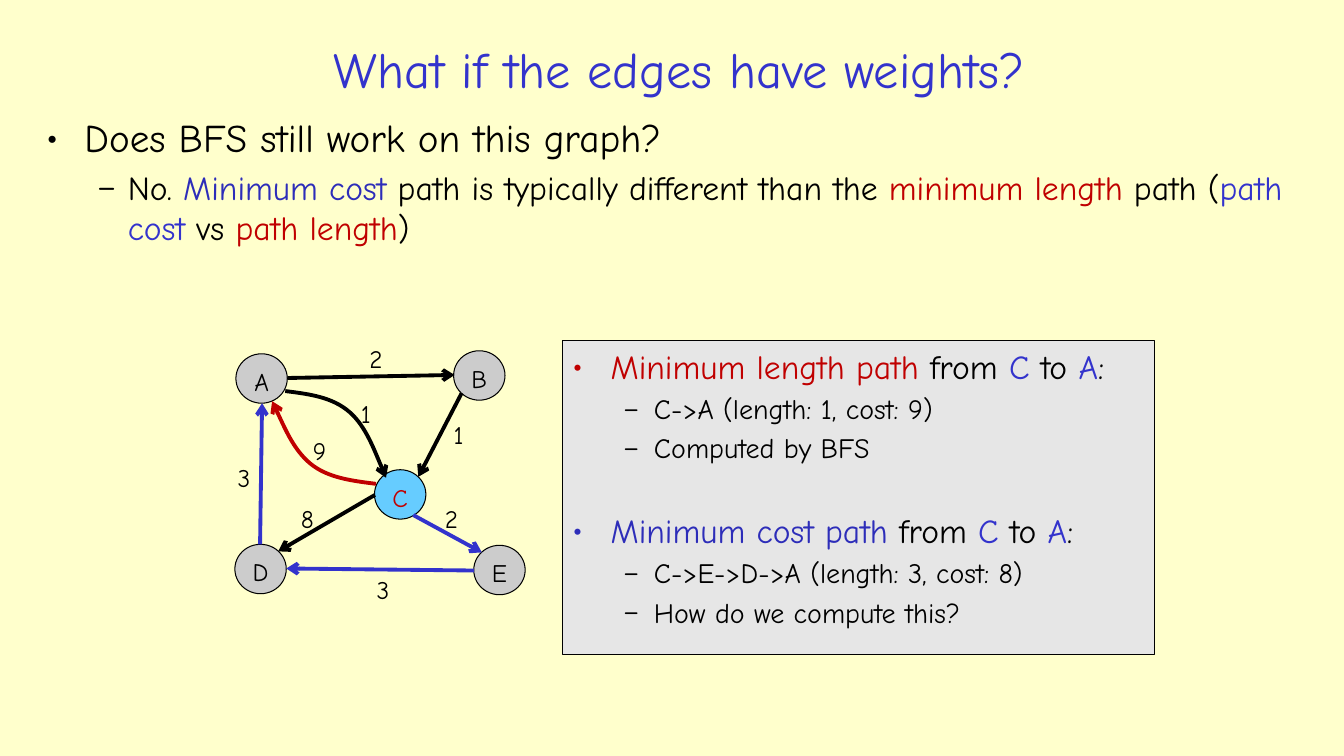
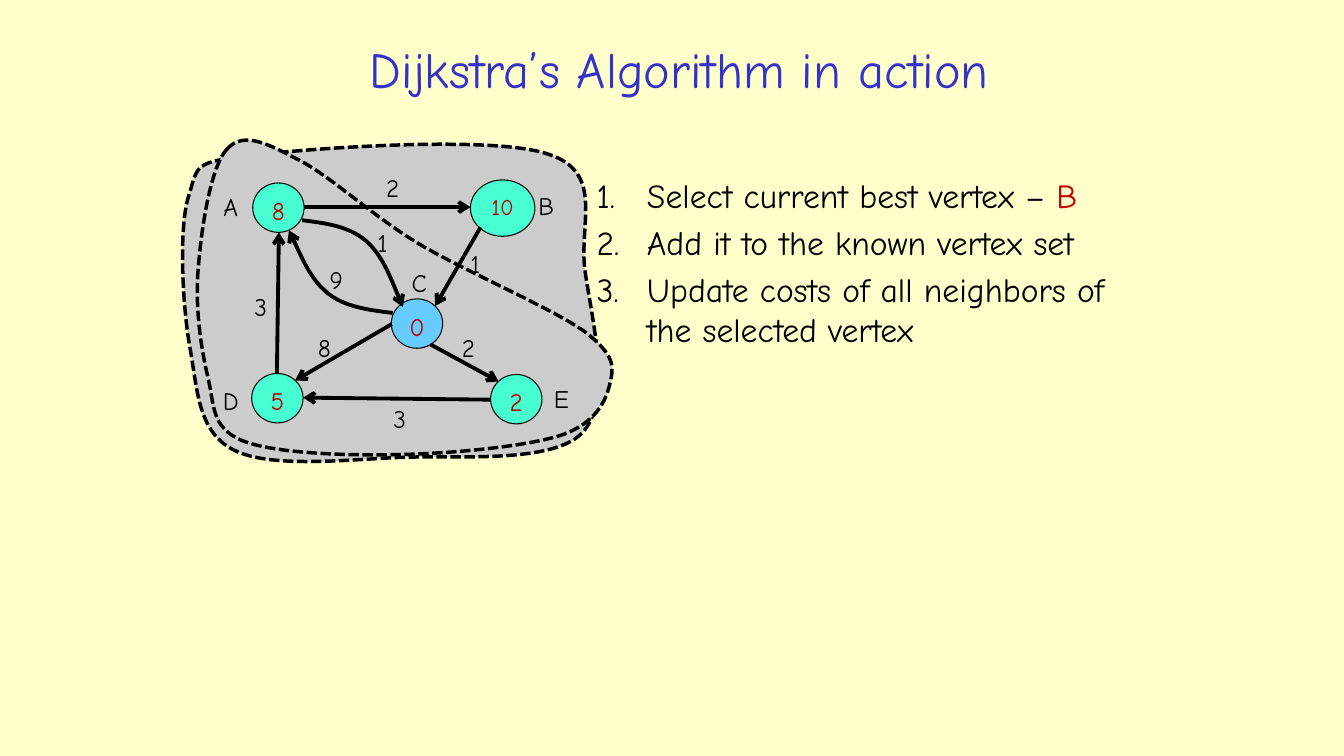
"""Two slides on weighted graphs and Dijkstra's algorithm."""
from dataclasses import dataclass
from lxml import etree
from pptx import Presentation
from pptx import util as u
from pptx.dml import color as c
from pptx.enum import dml, shapes, text
from pptx.oxml import ns


@dataclass(frozen=True)
class Theme:
    """Colours, font, and type and line sizes."""
    font: str = "Comic Neue"
    page: str = "FFFFCC"
    ink: str = "000000"
    blue: str = "3333CC"
    navy: str = "2D2DB9"
    red: str = "C00000"
    gray: str = "CCCCCC"
    pale: str = "E6E6E6"
    sky: str = "66CCFF"
    mint: str = "47FFD1"
    title: int = 36
    head: int = 28
    body: int = 24
    sub: int = 20
    label: int = 18
    small: int = 16
    thin: float = 0.75
    dash: float = 2.5
    bold: float = 2.75


T = Theme()
COLS, ROWS = 133.33, 75
CELL = u.Inches(0.1)
BULLETS = {"•": (0.38, 0.38), "–": (0.81, 0.31), "1.": (0.5, 0.5)}

NODES = {"A": (23.4, 35.1), "B": (45, 34.8), "C": (37.15, 46.6),
         "D": (23.3, 54), "E": (47, 54.1)}
EDGES = {"AB": [(28.5, 37.5), (45.1, 37.2)],
         "BC": [(45.8, 39), (41.5, 47.3)],
         "CD": [(37.2, 49.1), (27.6, 54.7)],
         "CE": [(41, 51.1), (47.8, 54.8)],
         "ED": [(47, 56.6), (28.4, 56.4)],
         "DA": [(25.8, 54), (26, 40)]}
CURVES = {"CA": [(37.3, 48), (34.9, 47.7), (32.5, 47.4), (30.8, 46),
                 (29.1, 44.6), (27, 39.8), (27, 39.8)],
          "AC": [(28.3, 38.8), (30.7, 39.1), (33, 39.4), (34.7, 40.9),
                 (36.3, 42.3), (38.3, 47.4), (38.3, 47.4)]}
COSTS = [("3", 24.2, 47.35), ("9", 31.7, 44.7), ("1", 36.3, 41),
         ("2", 37.3, 35.55), ("1", 45.5, 43.1), ("2", 44.8, 51.4),
         ("8", 30.5, 51.4), ("3", 38, 58.5)]
OUTER = [(25.1, 15.4), (19.1, 16.1), (19.7, 16.3), (18.7, 19.5),
         (17.7, 22.7), (18.1, 30.6), (18.9, 34.8),
         (19.6, 38.9), (19.7, 42.8), (23.1, 44.6),
         (26.5, 46.4), (33.4, 45.7), (39.2, 45.4),
         (44.9, 45.1), (54.6, 46.1), (57.7, 43),
         (60.9, 39.8), (58.6, 31.2), (58, 26.6),
         (57.5, 21.9), (59.9, 17.1), (54.4, 15.3),
         (48.9, 13.4), (31, 14.7), (25.1, 15.4)]
INNER = [(22.6, 14.7), (20.9, 16.4), (20, 22.6), (19.7, 26.3),
         (19.3, 30.1), (19.9, 34.4), (20.6, 37.3),
         (21.3, 40.2), (20.9, 42.4), (24, 43.7),
         (27.2, 45), (34.3, 45.2), (39.5, 45.1),
         (44.8, 45), (52.1, 44.3), (55.6, 43.2),
         (59.1, 42), (60.1, 39.8), (60.5, 38.1),
         (60.9, 36.4), (61.1, 35.3), (58, 32.9),
         (54.8, 30.6), (46.1, 26.9), (41.4, 24.1),
         (36.7, 21.2), (32.8, 17.5), (29.7, 15.9),
         (26.6, 14.3), (24.3, 13), (22.6, 14.7)]


def grid(*vals):
    """Turn grid cells into slide lengths."""
    return [round(v * CELL) for v in vals]


def rgb(hue):
    """Make a colour from its hex code."""
    return c.RGBColor.from_string(hue)


def mark(para, sign):
    """Give a paragraph a hanging bullet or number."""
    left, hang = BULLETS[sign]
    prop = para._p.get_or_add_pPr()
    prop.set("marL", str(u.Inches(left)))
    prop.set("indent", str(-u.Inches(hang)))
    etree.SubElement(prop, ns.qn("a:buFont"), typeface=T.font)
    if sign == "1.":
        etree.SubElement(prop, ns.qn("a:buAutoNum"), type="arabicPeriod")
    else:
        etree.SubElement(prop, ns.qn("a:buChar"), char=sign)


def write(para, *runs, size=T.label, hue=T.ink, mid=False, sign=None, gap=0):
    """Fill a paragraph with runs, each a string or a (string, colour) pair."""
    if sign:
        mark(para, sign)
    para.alignment = text.PP_ALIGN.CENTER if mid else text.PP_ALIGN.LEFT
    para.space_before = u.Pt(gap)
    for item in runs:
        word, tint = (item, hue) if isinstance(item, str) else item
        run = para.add_run()
        run.text = word
        run.font.name, run.font.size = T.font, u.Pt(size)
        run.font.color.rgb = rgb(tint)


def bend(form):
    """Turn each three line segments of a freeform into one cubic curve."""
    legs = list(form._element.iter(ns.qn("a:lnTo")))
    for i in range(0, len(legs), 3):
        cubic = etree.Element(ns.qn("a:cubicBezTo"))
        legs[i].addprevious(cubic)
        for leg in legs[i:i + 3]:
            cubic.append(leg[0])
            leg.getparent().remove(leg)


class Deck:
    """Holds the file, its style and the current slide."""

    def __init__(self):
        """Set the slide size and background."""
        self.file = Presentation()
        self.file.slide_width, self.file.slide_height = grid(COLS, ROWS)
        fill = self.file.slide_master.background.fill
        fill.solid()
        fill.fore_color.rgb = rgb(T.page)

    def page(self):
        """Start a blank slide."""
        self.art = self.file.slides.add_slide(self.file.slide_layouts[6]).shapes

    def title(self, words):
        """Add the slide title."""
        box = self.box(19.7, 3, 95.4, 7.6)
        box.vertical_anchor = text.MSO_ANCHOR.MIDDLE
        write(box.paragraphs[0], words, size=T.title, hue=T.blue, mid=True)

    def box(self, *area, wrap=True):
        """Add a text box and return its frame."""
        frame = self.art.add_textbox(*grid(*area)).text_frame
        frame.word_wrap = wrap
        return frame

    def items(self, frame, rows):
        """Write rows of (sign, size, runs, optional gap) in a frame."""
        for i, (sign, size, runs, *gap) in enumerate(rows):
            para = frame.add_paragraph() if i else frame.paragraphs[0]
            space = gap[0] if gap else size * 0.2
            write(para, *runs, size=size, sign=sign, gap=space if i else 0)

    def shape(self, kind, area, fill):
        """Add a thinly outlined preset shape and return its frame."""
        form = self.art.add_shape(kind, *grid(*area))
        self.skin(form, fill, T.ink, T.thin)
        frame = form.text_frame
        frame.vertical_anchor = text.MSO_ANCHOR.TOP
        return frame

    def skin(self, form, fill, hue, width):
        """Set fill and line and drop the shadow."""
        form.shadow.inherit = False
        if fill:
            form.fill.solid()
            form.fill.fore_color.rgb = rgb(fill)
        else:
            form.fill.background()
        form.line.color.rgb, form.line.width = rgb(hue), u.Pt(width)

    def node(self, x, y, word, fill, hue, w=5.1, h=4.9, size=T.label):
        """Add a round graph node."""
        frame = self.shape(shapes.MSO_SHAPE.OVAL, (x, y, w, h), fill)
        frame.word_wrap = False
        write(frame.paragraphs[0], word, size=size, hue=hue, mid=True)

    def label(self, word, x, y):
        """Add a label centred on a point."""
        frame = self.box(x - 1.8, y - 2, 3.6, 4, wrap=False)
        write(frame.paragraphs[0], word, mid=True)

    def tip(self, line):
        """Put an open arrowhead at the end of a line."""
        etree.SubElement(line._get_or_add_ln(), ns.qn("a:tailEnd"), type="arrow")

    def edge(self, start, end, hue):
        """Add a straight arrow."""
        wire = self.art.add_connector(shapes.MSO_CONNECTOR.STRAIGHT, *grid(*start, *end))
        wire.line.color.rgb, wire.line.width = rgb(hue), u.Pt(T.bold)
        self.tip(wire.line)
        etree.SubElement(wire._element.spPr, ns.qn("a:effectLst"))

    def trace(self, pts, close=False):
        """Add a freeform along a chain of cubic curves."""
        first, *rest = [grid(*p) for p in pts]
        pen = self.art.build_freeform(*first, scale=1.0)
        pen.add_line_segments(rest, close=close)
        form = pen.convert_to_shape()
        bend(form)
        return form

    def curve(self, pts, hue):
        """Add a curved arrow."""
        form = self.trace(pts)
        self.skin(form, None, hue, T.bold)
        self.tip(form.line)

    def cloud(self, pts):
        """Add a dashed region."""
        form = self.trace(pts, close=True)
        self.skin(form, T.gray, T.ink, T.dash)
        form.line.dash_style = dml.MSO_LINE.SQUARE_DOT

    def graph(self, nodes, hues={}, dx=0, dy=0, moved={}):
        """Draw the weighted graph, shifted, with node formats by name."""
        def shift(pts):
            """Move points by the graph's offset."""
            return [(x + dx, y + dy) for x, y in pts]
        for name, spot in NODES.items():
            self.node(*shift([spot])[0], **nodes[name])
        for name, pts in {**EDGES, **moved}.items():
            self.edge(*shift(pts), hues.get(name, T.ink))
        for name, pts in CURVES.items():
            self.curve(shift(pts), hues.get(name, T.ink))
        for word, x, y in COSTS:
            self.label(word, x + dx, y + dy)


def weights(deck):
    """Build the slide on edge weights."""
    deck.page()
    deck.title("What if the edges have weights?")
    deck.items(deck.box(3.6, 10.7, 124.7, 18.9), [
        ("•", T.head, ["Does BFS still work on this graph?"]),
        ("–", T.body, ["No. ", ("Minimum cost ", T.navy),
                       "path is typically different than the ",
                       ("minimum length ", T.red), "path (",
                       ("path cost ", T.blue), "vs ", ("path length", T.red), ")"])])
    nodes = {n: dict(word=n, fill=T.gray, hue=T.ink) for n in NODES}
    nodes["C"].update(fill=T.sky, hue=T.red)
    deck.graph(nodes, {"CA": T.red, **dict.fromkeys(("CE", "ED", "DA"), T.blue)})
    ends = ["from ", ("C", T.blue), " to ", ("A", T.blue), ":"]
    panel = deck.shape(shapes.MSO_SHAPE.RECTANGLE, (55.8, 33.8, 58.7, 31.1), T.pale)
    deck.items(panel, [
        ("•", T.body, [("Minimum length path ", T.red), *ends]),
        ("–", T.sub, ["C->A (length: 1, cost: 9)"]),
        ("–", T.sub, ["Computed by BFS"]),
        ("•", T.body, [("Minimum cost path ", T.navy), *ends], 32.5),
        ("–", T.sub, ["C->E->D->A (length: 3, cost: 8)"]),
        ("–", T.sub, ["How do we compute this?"])])


def action(deck):
    """Build the slide on Dijkstra's algorithm."""
    deck.page()
    deck.cloud(OUTER)
    deck.cloud(INNER)
    deck.title("Dijkstra’s Algorithm in action")
    best = {"A": "8", "B": "10", "C": "0", "D": "5", "E": "2"}
    nodes = {n: dict(word=v, fill=T.mint, hue=T.red) for n, v in best.items()}
    nodes["B"].update(w=6.4, h=5.6, size=T.small)
    nodes["C"].update(fill=T.sky)
    deck.graph(nodes, dx=1.67, dy=-16.95, moved={
        "AB": [(28.5, 37.5), (45, 37.5)], "BC": [(46, 39.5), (41.5, 47.3)]})
    for name, x, y in [("A", 22.9, 20.5), ("B", 54.2, 20.4), ("C", 41.6, 28),
                       ("D", 22.9, 39.7), ("E", 55.7, 39.5)]:
        deck.label(name, x, y)
    deck.items(deck.box(58.2, 16.85, 57.1, 20.4), [
        ("1.", T.body, ["Select current best vertex – ", ("B", T.red)]),
        ("1.", T.body, ["Add it to the known vertex set"]),
        ("1.", T.body, ["Update costs of all neighbors of the selected vertex"])])


def main():
    """Build and save the deck."""
    deck = Deck()
    weights(deck)
    action(deck)
    deck.file.save("out.pptx")


if __name__ == "__main__":
    main()
